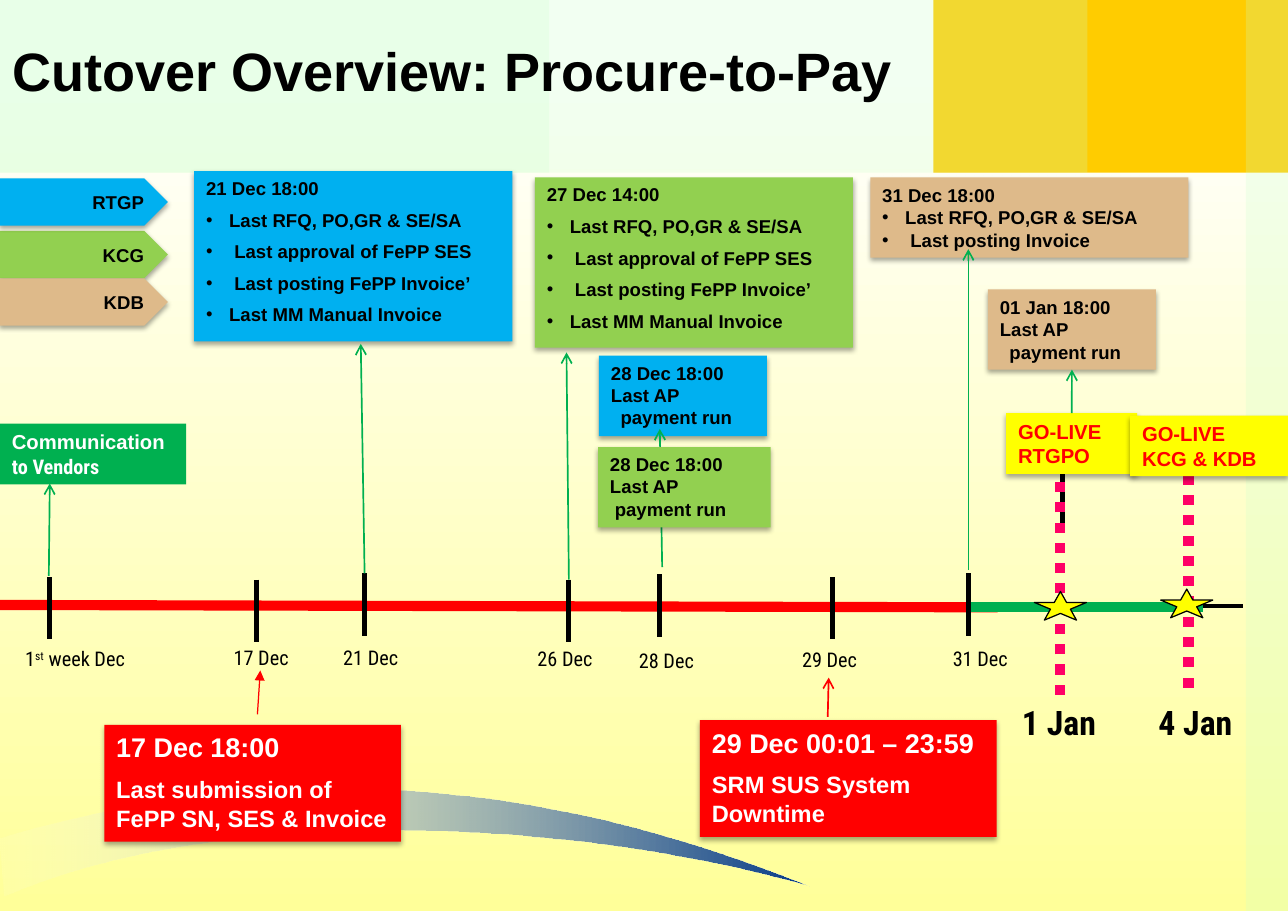
from lxml import etree
from pptx import Presentation, util as u
from pptx.dml import color as dml
from pptx.enum import dml as line_styles, shapes, text as t
from pptx.oxml import ns

Cm, Pt = u.Cm, u.Pt
Preset = shapes.MSO_SHAPE
COLORS = dict(black="000000", white="FFFFFF", cream="FFFF99", gold="FFCC00", mint="CCFFCC",
              navy="033989", red="FF0000", green="00B050", blue="00B0F0", lime="92D050",
              tan="DEBA8A", yellow="FFFF00", pink="FF0066")
RGB = {name: dml.RGBColor.from_string(value) for name, value in COLORS.items()}
LABEL_FONT = "Roboto Condensed"


def add_box(text, left, top, width, height, kind=Preset.RECTANGLE, fill=None, alpha=None,
            line=None, shadow=False, font="Arial", size=11, body_size=None, color="black",
            bold=True, align=t.PP_ALIGN.LEFT, anchor=t.MSO_ANCHOR.TOP, space=0, last_indent=0):
    """Newline starts a paragraph, \\v breaks a line, | starts a run, a leading • makes a bullet."""
    place = Cm(left), Cm(top), Cm(width), Cm(height)
    if fill:
        shape = slide.shapes.add_shape(kind, *place)
        shape.shadow.inherit = False
        shape.fill.solid()
        shape.fill.fore_color.rgb = RGB[fill]
        if line:
            shape.line.color.rgb, shape.line.width = RGB[line], Pt(0.75)
        else:
            shape.line.fill.background()
    else:
        shape = slide.shapes.add_textbox(*place)
    properties = shape._element.spPr
    if alpha:
        tint = properties.find(".//" + ns.qn("a:srgbClr"))
        etree.SubElement(tint, ns.qn("a:alpha"), val=str(alpha * 1000))
    if shadow:
        outer = etree.SubElement(properties.find(ns.qn("a:effectLst")), ns.qn("a:outerShdw"),
                                 blurRad=str(Pt(3.1)), dist=str(Pt(1.8)), dir="5400000",
                                 rotWithShape="0")
        shade = etree.SubElement(outer, ns.qn("a:srgbClr"), val=COLORS["black"])
        etree.SubElement(shade, ns.qn("a:alpha"), val="35000")
    frame = shape.text_frame
    frame.word_wrap, frame.vertical_anchor = True, anchor
    for index, content in enumerate(text.split("\n") if text else []):
        paragraph = frame.add_paragraph() if index else frame.paragraphs[0]
        paragraph.alignment = align
        if index:
            paragraph.space_before = Pt(space)
            if last_indent:
                paragraph._p.get_or_add_pPr().set("marL", str(Cm(last_indent)))
        if content.startswith("•"):
            content = content[1:]
            layout = paragraph._p.get_or_add_pPr()
            layout.set("marL", str(Cm(0.48)))
            layout.set("indent", str(-Cm(0.48)))
            etree.SubElement(layout, ns.qn("a:buFont"), typeface="Arial")
            etree.SubElement(layout, ns.qn("a:buChar"), char="•")
        for row, words in enumerate(content.split("\v")):
            if row:
                paragraph.add_line_break()
            for part in words.split("|"):
                run = paragraph.add_run()
                run.text = part
                run.font.name, run.font.bold = font, bold
                run.font.size = Pt(body_size if index and body_size else size)
                run.font.color.rgb = RGB[color]
    return shape


def add_line(x1, y1, x2, y2, color, width, arrow=None, dash=None):
    connector = slide.shapes.add_connector(shapes.MSO_CONNECTOR.STRAIGHT,
                                           Cm(x1), Cm(y1), Cm(x2), Cm(y2))
    connector.line.color.rgb, connector.line.width = RGB[color], Pt(width)
    if dash:
        connector.line.dash_style = dash
    if arrow:
        etree.SubElement(connector.line._get_or_add_ln(), ns.qn("a:tailEnd"), type=arrow)
    etree.SubElement(connector._element.spPr, ns.qn("a:effectLst"))
    return connector


presentation = Presentation()
presentation.slide_width, presentation.slide_height = Cm(26.92), Cm(19.05)
slide = presentation.slides.add_slide(presentation.slide_layouts[5])

# Background panels
backdrop = add_box("", 0, 1.47, 26.92, 17.58, fill="white")
backdrop.fill.gradient()
backdrop.fill.gradient_angle = 270
add_box("", 19.51, 0, 7.41, 3.61, fill="gold")
for left, width, height in [(26.04, 0.88, 19.05), (0, 22.73, 3.61), (0, 11.48, 3.61)]:
    add_box("", left, 0, width, height, fill="mint", alpha=24)

# Background swoosh
upper = [(0, 17.53), (7.32, 15.37), (13.21, 17.04), (16.92, 18.52)]
lower = [(16.92, 18.52), (12.09, 17.15), (4.78, 16.74), (0.1, 18.72)]
outline = []
for curve in (upper, lower):
    for step in range(41):
        s = step / 40
        weights = (1 - s) ** 3, 3 * s * (1 - s) ** 2, 3 * s * s * (1 - s), s ** 3
        outline.append(tuple(Cm(sum(w * point[axis] for w, point in zip(weights, curve)))
                             for axis in (0, 1)))
builder = slide.shapes.build_freeform(*outline[0])
builder.add_line_segments(outline[1:], close=True)
swoosh = builder.convert_to_shape()
swoosh.shadow.inherit = False
swoosh.line.fill.background()
swoosh.fill.gradient()
swoosh.fill.gradient_angle = 0
for shape, names in [(backdrop, ("white", "cream")), (swoosh, ("white", "navy"))]:
    for stop, name, position in zip(shape.fill.gradient_stops, names, (0, 1)):
        stop.color.rgb, stop.position = RGB[name], position
faint = swoosh._element.spPr.find(".//" + ns.qn("a:srgbClr"))
etree.SubElement(faint, ns.qn("a:alpha"), val="9000")

# Title, brought in front of the background
title = slide.shapes.title
title.left, title.top, title.width, title.height = Cm(0), Cm(0.76), Cm(23.83), Cm(1.42)
title.text_frame.text = "Cutover Overview: Procure-to-Pay"
title.text_frame.vertical_anchor = t.MSO_ANCHOR.MIDDLE
paragraph = title.text_frame.paragraphs[0]
paragraph.alignment = t.PP_ALIGN.LEFT
paragraph.font.name, paragraph.font.size, paragraph.font.bold = "Arial", Pt(32), True
paragraph.font.color.rgb = RGB["black"]
slide.shapes._spTree.append(title._element)

# Time axis
add_line(0.71, 12.67, 25.98, 12.67, "black", 2.25)
add_line(22.2, 9.73, 22.2, 11.02, "black", 3)
add_line(0, 12.65, 20.85, 12.7, "red", 6)
add_line(20.19, 12.7, 25.15, 12.7, "green", 6)

# Ticks and dates: tick x, tick top, label centre, label top
dates = [("1|st| week Dec", 1.04, 12.07, 1.57, 13.39), ("17 Dec", 5.36, 12.12, 5.46, 13.36),
         ("21 Dec", 7.62, 11.99, 7.75, 13.36), ("26 Dec", 11.89, 12.12, 11.81, 13.39),
         ("28 Dec", 13.79, 12.01, 13.93, 13.44), ("29 Dec", 17.4, 12.07, 17.34, 13.41),
         ("31 Dec", 20.24, 11.99, 20.49, 13.39)]
for date, x, top, center, label_top in dates:
    add_line(x, top, x, top + 1.3, "black", 3)
    label = add_box(date, center - 1.46, label_top, 2.92, 0.76, font=LABEL_FONT, size=12,
                    bold=False, align=t.PP_ALIGN.CENTER)
    if "|" in date:
        label.text_frame.paragraphs[0].runs[1].font._element.set("baseline", "30000")

# Go-live days
for date, left, x, bottom, top, star_left, star_top in [
        ("1 Jan", 20.19, 22.15, 14.53, 9.93, 21.62, 12.37),
        ("4 Jan", 23.04, 24.84, 14.38, 9.86, 24.26, 12.32)]:
    add_box(date, left, 14.55, 3.89, 1.14, font=LABEL_FONT, size=20, align=t.PP_ALIGN.CENTER)
    add_line(x, bottom, x, top, "pink", 6, dash=line_styles.MSO_LINE.ROUND_DOT)
    add_box("", star_left, star_top, 1.09, 0.6, kind=Preset.STAR_5_POINT, fill="yellow",
            line="black")
go_live = add_box("GO-LIVE\vRTGPO", 21.03, 8.64, 2.74, 1.27, fill="yellow", shadow=True,
                  size=12, color="red")
add_box("GO-LIVE\vKCG & KDB", 23.62, 8.69, 3.3, 1.27, fill="yellow", shadow=True,
        size=12, color="red")

# Legend
for name, top, fill in [("KCG", 4.83, "lime"), ("RTGP", 3.73, "blue"), ("KDB", 5.82, "tan")]:
    add_box(name, 0, top, 3.51, 0.99, kind=Preset.PENTAGON, fill=fill, shadow=True,
            align=t.PP_ALIGN.RIGHT, anchor=t.MSO_ANCHOR.MIDDLE)

# Deadline cards
tasks = ("\n•Last RFQ, PO,GR & SE/SA\n• Last approval of FePP SES"
         "\n• Last posting FePP Invoice’\n•Last MM Manual Invoice")
for heading, left, top, fill in [("21 Dec 18:00", 4.06, 3.58, "blue"),
                                 ("27 Dec 14:00", 11.18, 3.71, "lime")]:
    add_box(heading + tasks, left, top, 6.65, 3.56, fill=fill, shadow=True, space=5.5)
add_box("31 Dec 18:00\n•Last RFQ, PO,GR & SE/SA\n• Last posting Invoice", 18.19, 3.71, 6.65, 1.68,
        fill="tan", shadow=True, anchor=t.MSO_ANCHOR.MIDDLE)
for content, left, top in [
        ("17 Dec 18:00\nLast submission of\vFePP SN, SES & Invoice", 2.18, 15.16),
        ("29 Dec 00:01 – 23:59\nSRM SUS System\vDowntime", 14.63, 15.06)]:
    add_box(content, left, top, 6.2, 2.44, fill="red", shadow=True, size=16, body_size=14,
            color="white", space=7)
vendors = add_box("Communication| to Vendors", 0, 8.86, 3.89, 1.27, fill="green", size=12,
                  color="white")
vendors.text_frame.paragraphs[0].runs[1].font.name = LABEL_FONT

# Payment runs and arrows; the 28 Dec arrow passes between its two boxes
payment = "\vLast AP\npayment run"
add_box("28 Dec 18:00" + payment, 12.52, 7.44, 3.51, 1.68, fill="blue", shadow=True,
        last_indent=0.2)
january = add_box("01 Jan 18:00" + payment, 20.65, 6.05, 3.51, 1.68, fill="tan", shadow=True,
                  anchor=t.MSO_ANCHOR.MIDDLE, last_indent=0.2)
for ends in [(1.02, 12.04, 1.04, 10.11), (13.84, 11.86, 13.79, 8.97), (7.62, 11.99, 7.54, 7.19),
             (11.89, 12.12, 11.84, 7.37), (20.24, 11.91, 20.24, 5.21)]:
    add_line(*ends, "green", 1, arrow="arrow")
january_arrow = add_line(22.4, 8.64, 22.4, 7.73, "green", 1, arrow="arrow")
january_arrow.begin_connect(go_live, 0)
january_arrow.end_connect(january, 2)
add_line(5.38, 14.94, 5.44, 14.02, "red", 0.75, arrow="triangle")
add_line(17.3, 14.99, 17.32, 14.17, "red", 1, arrow="arrow")
add_box("28 Dec 18:00" + payment, 12.5, 9.35, 3.61, 1.68, fill="lime", shadow=True,
        last_indent=0.1)

presentation.save("out.pptx")
